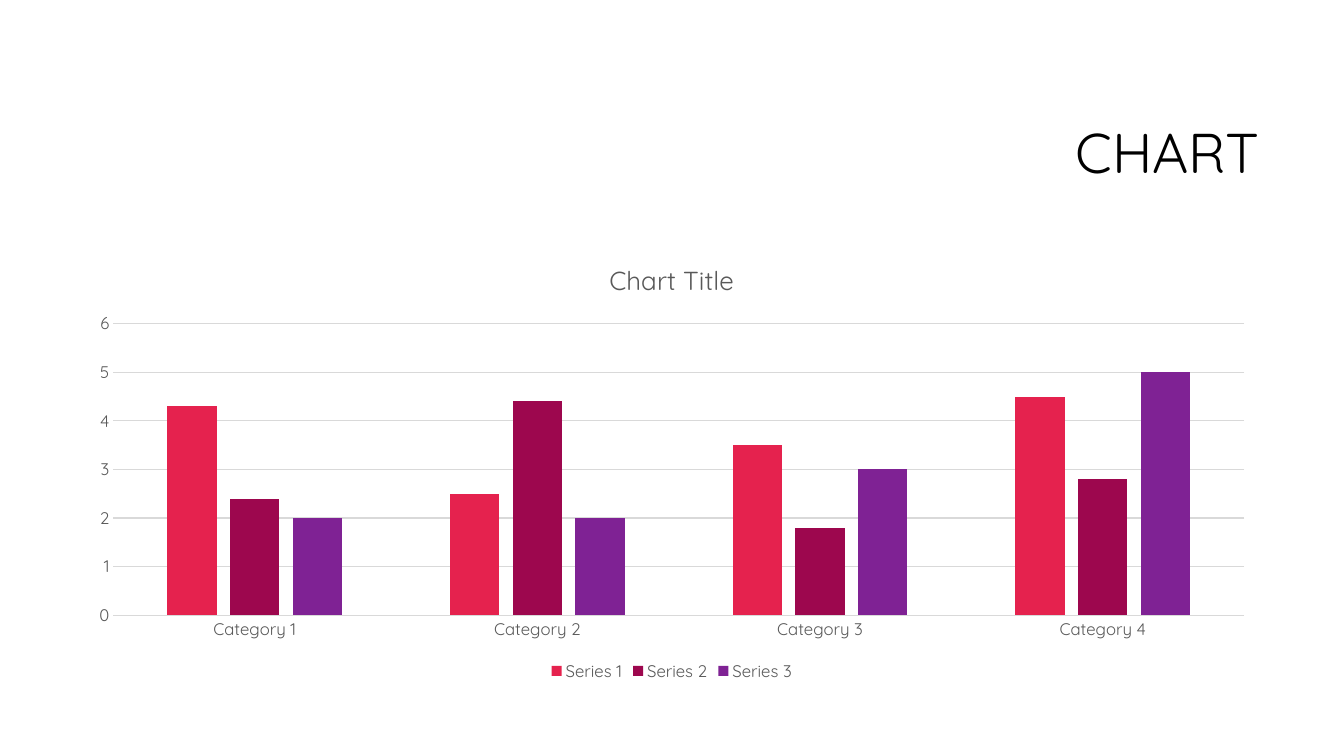
"""Build a slide with a right-aligned title and a clustered column chart."""
import pptx
import pptx.chart.data
import pptx.dml.color
import pptx.enum.chart
import pptx.enum.text
import pptx.util

Pt = pptx.util.Pt
FONT = "Quicksand"
COLORS = {"title": "000000", "label": "595959", "grid": "D9D9D9", "background": "FFFFFF"}
TITLE = "CHART"
CHART_TITLE = "Chart Title"
CATEGORIES = ["Category 1", "Category 2", "Category 3", "Category 4"]
SERIES = [
    ("Series 1", (4.3, 2.5, 3.5, 4.5), "E5224E"),
    ("Series 2", (2.4, 4.4, 1.8, 2.8), "9D074E"),
    ("Series 3", (2, 2, 3, 5), "7F2294"),
]
TITLE_BOX = (228.24, 60.48, 678.24, 101.52)
CHART_BOX = (54, 172.8, 851.76, 316.8)


def rgb(value):
    return pptx.dml.color.RGBColor.from_string(value)


def style_font(font, size, color):
    font.name = FONT
    font.size = Pt(size)
    font.bold = False
    font.color.rgb = rgb(color)


def style_line(line):
    line.color.rgb = rgb(COLORS["grid"])
    line.width = Pt(0.75)


def add_title(slide):
    title = slide.shapes.title
    title.left, title.top, title.width, title.height = map(Pt, TITLE_BOX)
    frame = title.text_frame
    frame.text = TITLE
    frame.vertical_anchor = pptx.enum.text.MSO_ANCHOR.MIDDLE
    paragraph = frame.paragraphs[0]
    paragraph.alignment = pptx.enum.text.PP_ALIGN.RIGHT
    paragraph.line_spacing = 0.9
    style_font(paragraph.font, 40, COLORS["title"])


def add_column_chart(slide):
    data = pptx.chart.data.CategoryChartData()
    data.categories = CATEGORIES
    for name, values, _ in SERIES:
        data.add_series(name, values)
    chart = slide.shapes.add_chart(
        pptx.enum.chart.XL_CHART_TYPE.COLUMN_CLUSTERED, *map(Pt, CHART_BOX), data
    ).chart
    style_font(chart.font, 12, COLORS["label"])

    chart.has_title = True
    chart.chart_title.include_in_layout = False
    chart.chart_title.text_frame.text = CHART_TITLE
    style_font(chart.chart_title.text_frame.paragraphs[0].font, 18.6, COLORS["label"])

    chart.has_legend = True
    chart.legend.position = pptx.enum.chart.XL_LEGEND_POSITION.BOTTOM
    chart.legend.include_in_layout = False
    style_font(chart.legend.font, 12, COLORS["label"])

    for axis in (chart.category_axis, chart.value_axis):
        axis.major_tick_mark = pptx.enum.chart.XL_TICK_MARK.NONE
        axis.minor_tick_mark = pptx.enum.chart.XL_TICK_MARK.NONE
        style_font(axis.tick_labels.font, 12, COLORS["label"])
    style_line(chart.category_axis.format.line)
    value_axis = chart.value_axis
    value_axis.minimum_scale, value_axis.maximum_scale, value_axis.major_unit = 0, 6, 1
    value_axis.format.line.fill.background()
    style_line(value_axis.major_gridlines.format.line)

    plot = chart.plots[0]
    plot.vary_by_categories = False
    plot.gap_width = 219
    plot.overlap = -27
    for series, (_, _, color) in zip(plot.series, SERIES):
        series.format.fill.solid()
        series.format.fill.fore_color.rgb = rgb(color)


presentation = pptx.Presentation()
presentation.slide_width, presentation.slide_height = Pt(960), Pt(540)
slide = presentation.slides.add_slide(presentation.slide_layouts[5])
slide.background.fill.solid()
slide.background.fill.fore_color.rgb = rgb(COLORS["background"])
add_title(slide)
add_column_chart(slide)
presentation.save("out.pptx")
